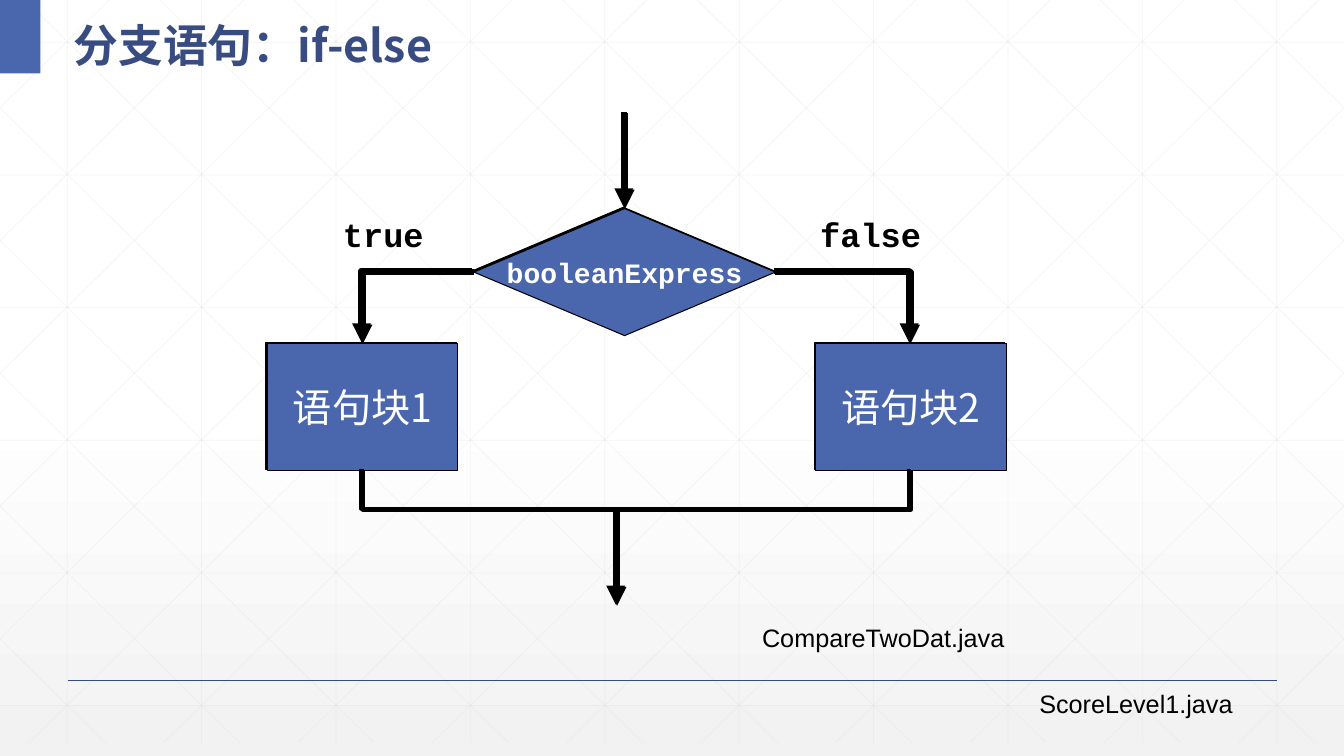
"""Build the if-else branching flowchart slide."""
from dataclasses import dataclass
from typing import Optional

from lxml.etree import SubElement
from pptx import Presentation
from pptx.dml.color import RGBColor
from pptx.enum.shapes import MSO_CONNECTOR, MSO_SHAPE
from pptx.enum.text import MSO_ANCHOR, PP_ALIGN
from pptx.oxml.ns import qn
from pptx.util import Inches, Pt

WIDTH, HEIGHT = 13.33, 7.5


@dataclass(frozen=True)
class Theme:
    """Colours, fonts and type sizes."""
    blue: str = "4A66AC"
    navy: str = "384C81"
    grid: str = "D9D9D9"
    black: str = "000000"
    white: str = "FFFFFF"
    floor: str = "F2F2F2"
    sans: str = "Arial"
    mono: str = "Courier New"
    cjk: str = "Noto Sans CJK SC"
    title: int = 32
    block: int = 28
    label: int = 24
    condition: int = 20
    file_name: int = 18


THEME = Theme()


@dataclass(frozen=True)
class Style:
    """Look of one run of text."""
    size: int
    font: str
    color: str = THEME.black
    bold: bool = False
    align: Optional[PP_ALIGN] = None


@dataclass(frozen=True)
class Node:
    """A flowchart step."""
    kind: MSO_SHAPE
    left: float
    top: float
    width: float
    height: float
    words: str
    style: Style


@dataclass(frozen=True)
class Flow:
    """A path between steps; an elbow leaves its start horizontally."""
    start: tuple[float, float]
    end: tuple[float, float]
    weight: float = 4.5
    arrow: bool = True


@dataclass(frozen=True)
class Caption:
    """Free-standing text."""
    left: float
    top: float
    width: float
    height: float
    words: str
    style: Style
    wrap: bool = True
    spacing: Optional[float] = None


def rgb(color: str) -> RGBColor:
    """Turn a hex string into a colour."""
    return RGBColor.from_string(color)


def write(frame, words: str, style: Style, wrap: bool) -> None:
    """Put one styled run into a text frame."""
    frame.word_wrap = wrap
    paragraph = frame.paragraphs[0]
    paragraph.alignment = style.align
    run = paragraph.add_run()
    run.text = words
    run.font.size, run.font.bold, run.font.name = Pt(style.size), style.bold, style.font
    run.font.color.rgb = rgb(style.color)
    SubElement(run.font._element, qn("a:ea"), typeface=style.font)


def cast_shadow(effects) -> None:
    """Add the hard black shadow towards the upper left."""
    shadow = SubElement(effects, qn("a:outerShdw"), blurRad="0", dist=str(Pt(1.4)),
                        dir=str(225 * 60000), algn="ctr", rotWithShape="0")
    SubElement(shadow, qn("a:srgbClr"), val=THEME.black)


def draw_line(shapes, start, end, color: str, weight: float, kind=MSO_CONNECTOR.STRAIGHT):
    """Draw a connector with an empty effect list."""
    line = shapes.add_connector(kind, *(Inches(value) for value in (*start, *end)))
    line.line.color.rgb = rgb(color)
    line.line.width = Pt(weight)
    SubElement(line._element.spPr, qn("a:effectLst"))
    return line


def draw_grid(shapes) -> None:
    """Draw the faint lattice of upright, level and diagonal lines."""
    step, depth, run = WIDTH / 10, 7.37, 7.46
    slope = depth / run
    lines = [((step * (i + 0.5), 0), (step * (i + 0.5), depth)) for i in range(10)]
    lines += [((0, 0.42 + 1.316 * i), (WIDTH, 0.42 + 1.316 * i)) for i in range(6)]
    for i in range(-5, 10):
        origin = 0.25 + step * i
        first, last = max(origin, 0), min(origin + run, WIDTH)
        upper, lower = (first - origin) * slope, (last - origin) * slope
        lines.append(((first, upper), (last, lower)))
        lines.append(((WIDTH - first, upper), (WIDTH - last, lower)))
    lattice = shapes.add_group_shape().shapes
    for start, end in lines:
        line = draw_line(lattice, start, end, THEME.grid, 0.5)
        tint = line._element.spPr.find(".//" + qn("a:srgbClr"))
        SubElement(tint, qn("a:alpha"), val="25000")


def draw_node(shapes, node: Node) -> None:
    """Draw a flowchart step with its words."""
    box = (Inches(v) for v in (node.left, node.top, node.width, node.height))
    step = shapes.add_shape(node.kind, *box)
    step.fill.solid()
    step.fill.fore_color.rgb = rgb(THEME.blue)
    step.line.color.rgb = rgb(THEME.black)
    step.line.width = Pt(0.75)
    step.shadow.inherit = False
    cast_shadow(step._element.spPr.find(qn("a:effectLst")))
    step.text_frame.vertical_anchor = MSO_ANCHOR.MIDDLE
    write(step.text_frame, node.words, node.style, wrap=False)


def draw_flow(shapes, flow: Flow) -> None:
    """Draw a straight or one-bend path."""
    bent = flow.start[0] != flow.end[0]
    kind = MSO_CONNECTOR.ELBOW if bent else MSO_CONNECTOR.STRAIGHT
    path_line = draw_line(shapes, flow.start, flow.end, THEME.black, flow.weight, kind)
    properties = path_line._element.spPr
    if bent:
        properties.find(qn("a:prstGeom")).set("prst", "bentConnector2")
    if flow.arrow:
        SubElement(properties.find(qn("a:ln")), qn("a:tailEnd"), type="triangle")
    cast_shadow(properties.find(qn("a:effectLst")))


def draw_caption(shapes, caption: Caption) -> None:
    """Draw free-standing text."""
    box = (Inches(v) for v in (caption.left, caption.top, caption.width, caption.height))
    frame = shapes.add_textbox(*box).text_frame
    if caption.spacing:
        frame.vertical_anchor = MSO_ANCHOR.MIDDLE
        frame.paragraphs[0].line_spacing = caption.spacing
    write(frame, caption.words, caption.style, caption.wrap)


CONDITION = Style(THEME.condition, THEME.mono, THEME.white, True, PP_ALIGN.CENTER)
BLOCK = Style(THEME.block, THEME.cjk, THEME.white, align=PP_ALIGN.CENTER)
FILE_NAME = Style(THEME.file_name, THEME.sans)
TRUE_X, FALSE_X, ENTRY_X, MERGE_X = 3.6, 9.03, 6.2, 6.12
TEST_Y, BLOCK_Y, BLOCK_END, MERGE_Y = 2.7, 3.41, 4.67, 5.06

NODES = [
    Node(MSO_SHAPE.DIAMOND, 4.7, 2.07, 2.99, 1.26, "booleanExpress", CONDITION),
    Node(MSO_SHAPE.RECTANGLE, 2.65, BLOCK_Y, 1.89, 1.26, "语句块1", BLOCK),
    Node(MSO_SHAPE.RECTANGLE, 8.09, BLOCK_Y, 1.89, 1.26, "语句块2", BLOCK),
]
FLOWS = [
    Flow((ENTRY_X, 1.12), (ENTRY_X, 2.07)),
    Flow((7.69, TEST_Y), (FALSE_X, BLOCK_Y)),
    Flow((4.7, TEST_Y), (TRUE_X, BLOCK_Y)),
    Flow((MERGE_X, MERGE_Y), (MERGE_X, 6.01)),
    Flow((MERGE_X, MERGE_Y), (TRUE_X, BLOCK_END), 3, False),
    Flow((MERGE_X, MERGE_Y), (FALSE_X, BLOCK_END), 3, False),
]
CAPTIONS = [
    Caption(0.63, 0, 5.69, 0.73, "分支语句：if-else",
            Style(THEME.title, THEME.cjk, THEME.navy, True), spacing=1.3),
    Caption(3.2, 2.07, 1.1, 0.5, "true",
            Style(THEME.label, THEME.mono, bold=True, align=PP_ALIGN.RIGHT)),
    Caption(7.85, 2.07, 1.57, 0.5, "false",
            Style(THEME.label, THEME.mono, bold=True, align=PP_ALIGN.CENTER)),
    Caption(7.46, 6.12, 2.81, 0.4, "CompareTwoDat.java", FILE_NAME, wrap=False),
    Caption(10.21, 6.78, 2.22, 0.4, "ScoreLevel1.java", FILE_NAME, wrap=False),
]


def main() -> None:
    """Assemble and save the slide."""
    deck = Presentation()
    deck.slide_width, deck.slide_height = Inches(WIDTH), Inches(HEIGHT)
    slide = deck.slides.add_slide(deck.slide_layouts[6])
    backdrop = slide.background.fill
    backdrop.gradient()
    backdrop.gradient_angle = 270
    for stop, position, color in zip(backdrop.gradient_stops, (0.53, 1), (THEME.white, THEME.floor)):
        stop.position, stop.color.rgb = position, rgb(color)
    shapes = slide.shapes
    draw_grid(shapes)
    draw_line(shapes, (0.67, 6.75), (12.67, 6.75), THEME.navy, 1)
    accent = shapes.add_shape(MSO_SHAPE.RECTANGLE, 0, 0, Inches(0.4), Inches(0.73))
    accent.fill.solid()
    accent.fill.fore_color.rgb = rgb(THEME.blue)
    accent.line.fill.background()
    accent.shadow.inherit = False
    for draw, parts in ((draw_node, NODES), (draw_flow, FLOWS), (draw_caption, CAPTIONS)):
        for part in parts:
            draw(shapes, part)
    deck.save("out.pptx")


main()
